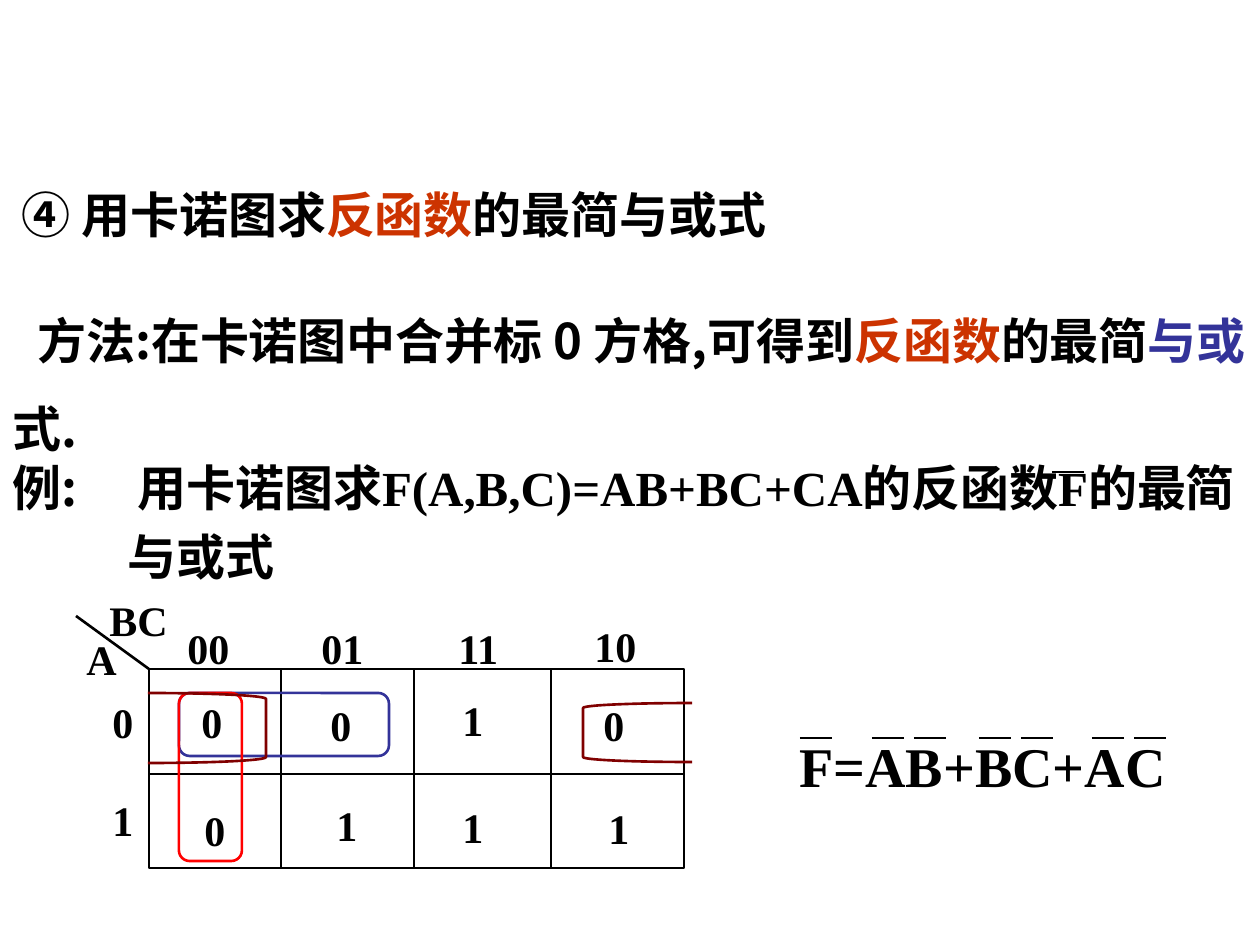
from dataclasses import dataclass

from lxml.etree import SubElement
from pptx import Presentation
from pptx.dml.color import RGBColor
from pptx.enum.shapes import MSO_CONNECTOR, MSO_SHAPE as Shape
from pptx.enum.text import MSO_AUTO_SIZE as AutoSize
from pptx.oxml.ns import qn
from pptx.util import Emu, Pt

EMU_PER_PX = 914400 / 126


@dataclass(frozen=True)
class Theme:
    black: str = "000000"
    accent: str = "CC3300"
    blue: str = "333399"
    red: str = "FF0000"
    maroon: str = "800000"
    chinese: str = "Noto Sans CJK SC"
    latin: str = "Times New Roman"
    body: int = 28
    label: int = 24
    formula: int = 32
    line: float = 1.5
    thin_line: float = 0.75


THEME = Theme()


def px(value):
    return Emu(round(value * EMU_PER_PX))


def add_text(shapes, text, box, size=THEME.body, font=THEME.chinese, wrap=False,
             spacing=None, indent=0, tab=None):
    """Add one paragraph; text is a string or a list of (text, colour, font) runs."""
    shape = shapes.add_textbox(*map(px, box))
    frame = shape.text_frame
    frame.word_wrap = wrap
    frame.auto_size = AutoSize.SHAPE_TO_FIT_TEXT
    paragraph = frame.paragraphs[0]
    properties = paragraph._p.get_or_add_pPr()
    if indent:
        properties.set("indent", str(px(indent)))
    if tab:
        tabs = SubElement(properties, qn("a:tabLst"))
        SubElement(tabs, qn("a:tab"), pos=str(px(tab)), algn="l")
    if spacing:
        paragraph.line_spacing = spacing
    runs = [(text, THEME.black, font)] if isinstance(text, str) else text
    for words, colour, typeface in runs:
        run = paragraph.add_run()
        run.text = words
        run.font.name = typeface
        run.font.size = Pt(size)
        run.font.bold = True
        run.font.color.rgb = RGBColor.from_string(colour)
        SubElement(run._r.get_or_add_rPr(), qn("a:ea"), typeface=THEME.chinese)


def add_outline(shapes, kind, box, colour, adjustment=None):
    shape = shapes.add_shape(kind, *map(px, box))
    shape.shadow.inherit = False
    shape.fill.background()
    shape.line.color.rgb = RGBColor.from_string(colour)
    shape.line.width = Pt(THEME.line)
    if adjustment is not None:
        shape.adjustments[0] = adjustment


def add_line(shapes, start, end, width=THEME.line):
    line = shapes.add_connector(MSO_CONNECTOR.STRAIGHT, *map(px, (*start, *end)))
    line.line.color.rgb = RGBColor.from_string(THEME.black)
    line.line.width = Pt(width)
    SubElement(line._element.spPr, qn("a:effectLst"))


def add_overbar(shapes, left, top, width=THEME.line):
    add_line(shapes, (left, top), (left + 32, top), width)


def add_karnaugh_map(shapes):
    left, top, right, bottom = 149, 669, 684, 868
    add_outline(shapes, Shape.RECTANGLE, (left, top, right - left, bottom - top), THEME.black)
    add_line(shapes, (left, 774), (right, 774))
    for column in (281, 414, 551):
        add_line(shapes, (column, top), (column, bottom))
    add_line(shapes, (left, top), (76, 616))

    labels = [
        ("A", 74, 627, 58), ("BC", 97, 588, 90),
        ("0", 100, 690, 45), ("1", 100, 788, 45),
        ("00", 175, 616, 68), ("01", 309, 616, 68),
        ("11", 446, 616, 68), ("10", 582, 614, 68),
        ("0", 189, 690, 45), ("0", 318, 693, 45), ("1", 450, 688, 45), ("0", 591, 693, 45),
        ("0", 192, 798, 45), ("1", 324, 793, 45), ("1", 450, 795, 45), ("1", 596, 796, 45),
    ]
    for text, x, y, width in labels:
        add_text(shapes, text, (x, y, width, 63), size=THEME.label, font=THEME.latin)


def add_zero_loops(shapes):
    add_outline(shapes, Shape.ROUNDED_RECTANGLE, (179, 693, 210, 63), THEME.blue, 0.17)
    add_outline(shapes, Shape.ROUNDED_RECTANGLE, (179, 693, 63, 168), THEME.red, 0.17)
    add_outline(shapes, Shape.LEFT_BRACKET, (583, 703, 109, 59), THEME.maroon)
    add_outline(shapes, Shape.RIGHT_BRACKET, (148, 693, 118, 70), THEME.maroon)


def add_result(shapes):
    add_text(shapes, "F=AB+BC+AC", (787, 725, 396, 81), size=THEME.formula, font=THEME.latin)
    for left in (800, 872, 914, 979, 1021, 1092, 1134):
        add_overbar(shapes, left, 738)


def add_example(shapes):
    black, chinese, latin = THEME.black, THEME.chinese, THEME.latin
    add_text(shapes, [
        ("例:\t用卡诺图求", black, chinese),
        ("F(A,B,C)=AB+BC+CA", black, latin),
        ("的反函数", black, chinese),
        ("F", black, latin),
        ("的最简", black, chinese),
    ], (0, 445, 1260, 145), wrap=True, spacing=1.1, tab=125)
    add_text(shapes, "与或式", (115, 520, 190, 72), font=latin)
    add_overbar(shapes, 1052, 472, THEME.thin_line)


def main():
    presentation = Presentation()
    presentation.slide_width, presentation.slide_height = px(1260), px(945)
    slide = presentation.slides.add_slide(presentation.slide_layouts[6])
    shapes = slide.shapes
    black, chinese = THEME.black, THEME.chinese

    add_text(shapes, [
        ("方法:在卡诺图中合并标 0 方格,可得到", black, chinese),
        ("反函数", THEME.accent, chinese),
        ("的最简", black, chinese),
        ("与或", THEME.blue, chinese),
        ("式.", black, chinese),
    ], (0, 275, 1260, 190), wrap=True, spacing=1.5, indent=25)
    add_karnaugh_map(shapes.add_group_shape().shapes)
    add_zero_loops(shapes)
    add_result(shapes.add_group_shape().shapes)
    add_text(shapes, [
        ("④ 用卡诺图求", black, chinese),
        ("反函数", THEME.accent, chinese),
        ("的最简与或式", black, chinese),
    ], (9, 178, 770, 72))
    add_example(shapes.add_group_shape().shapes)
    presentation.save("out.pptx")


if __name__ == "__main__":
    main()
